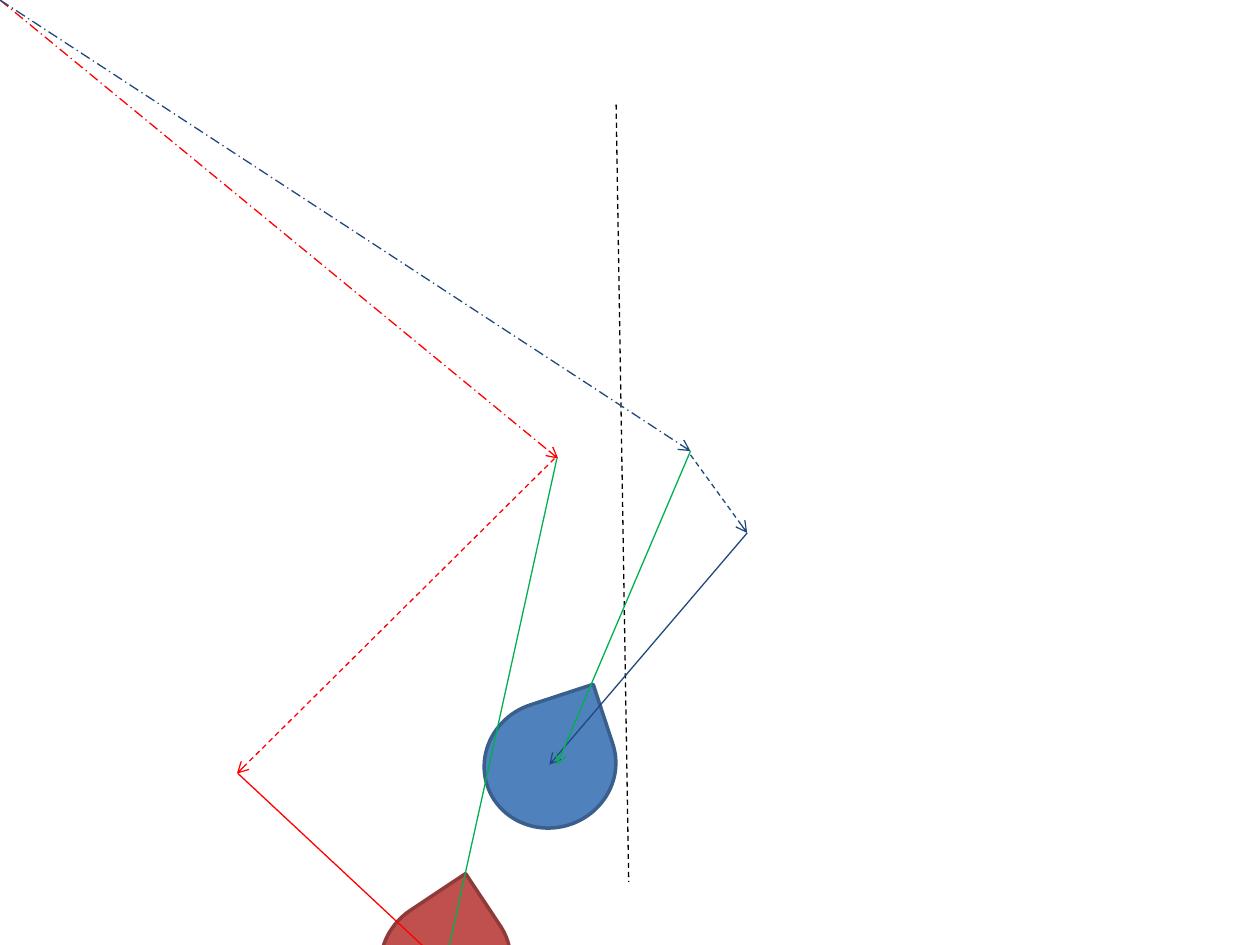
from lxml.etree import SubElement
from pptx import Presentation
from pptx.dml.color import RGBColor
from pptx.enum.dml import MSO_LINE
from pptx.enum.shapes import MSO_CONNECTOR, MSO_SHAPE
from pptx.oxml.ns import qn
from pptx.util import Inches, Pt

COLORS = {
    "red": "FF0000",
    "navy": "1F497D",
    "green": "00B050",
    "axis": "000000",
    "red_drop": "C0504D",
    "red_drop_edge": "8E3B39",
    "blue_drop": "4F81BD",
    "blue_drop_edge": "3A5F8C",
}
DROP_WIDTH, DROP_HEIGHT = 1.05, 1


def color(name):
    return RGBColor.from_string(COLORS[name])


def add_teardrop(slide, left, top, rotation, name):
    shape = slide.shapes.add_shape(
        MSO_SHAPE.TEAR, Inches(left), Inches(top),
        Inches(DROP_WIDTH), Inches(DROP_HEIGHT))
    shape.rotation = rotation
    shape.shadow.inherit = False
    shape.fill.solid()
    shape.fill.fore_color.rgb = color(name)
    shape.line.color.rgb = color(name + "_edge")
    shape.line.width = Pt(2)


def add_line(slide, start, end, color_name, dash=None, arrow=True):
    connector = slide.shapes.add_connector(
        MSO_CONNECTOR.STRAIGHT, *map(Inches, (*start, *end)))
    connector.line.color.rgb = color(color_name)
    connector.line.width = Pt(0.75)
    if dash is not None:
        connector.line.dash_style = dash
    if arrow:
        line = connector.line._get_or_add_ln()
        SubElement(line, qn("a:tailEnd"), type="arrow")
    SubElement(connector._element.spPr, qn("a:effectLst"))


def add_route(slide, left, top, color_name, approach, detour, final, direct):
    """Draw the legs of one route, given as start and end offsets from left, top."""
    legs = [
        (final, color_name, None),
        (detour, color_name, MSO_LINE.DASH),
        (approach, color_name, MSO_LINE.LONG_DASH_DOT),
        (direct, "green", None),
    ]
    for points, leg_color, dash in legs:
        start, end = [(left + x, top + y) for x, y in points]
        add_line(slide, start, end, leg_color, dash)


def main():
    presentation = Presentation()
    presentation.slide_width = Inches(10)
    presentation.slide_height = Inches(7.5)
    slide = presentation.slides.add_slide(presentation.slide_layouts[6])

    add_teardrop(slide, 3.01, 7.14, 326.4, "red_drop")
    add_teardrop(slide, 3.84, 5.57, 341.8, "blue_drop")
    add_line(slide, (4.89, 0.83), (4.99, 7), "axis", MSO_LINE.DASH, arrow=False)
    add_route(slide, 0, 0, "red",
              approach=((0, 0), (4.43, 3.64)),
              detour=((4.4, 3.64), (1.88, 6.14)),
              final=((1.89, 6.14), (3.53, 7.67)),
              direct=((4.42, 3.64), (3.53, 7.67)))
    add_route(slide, 0, 0, "navy",
              approach=((0, 0), (5.48, 3.58)),
              detour=((5.48, 3.61), (5.93, 4.23)),
              final=((5.93, 4.23), (4.36, 6.07)),
              direct=((5.48, 3.58), (4.42, 6.07)))

    presentation.save("out.pptx")


if __name__ == "__main__":
    main()
